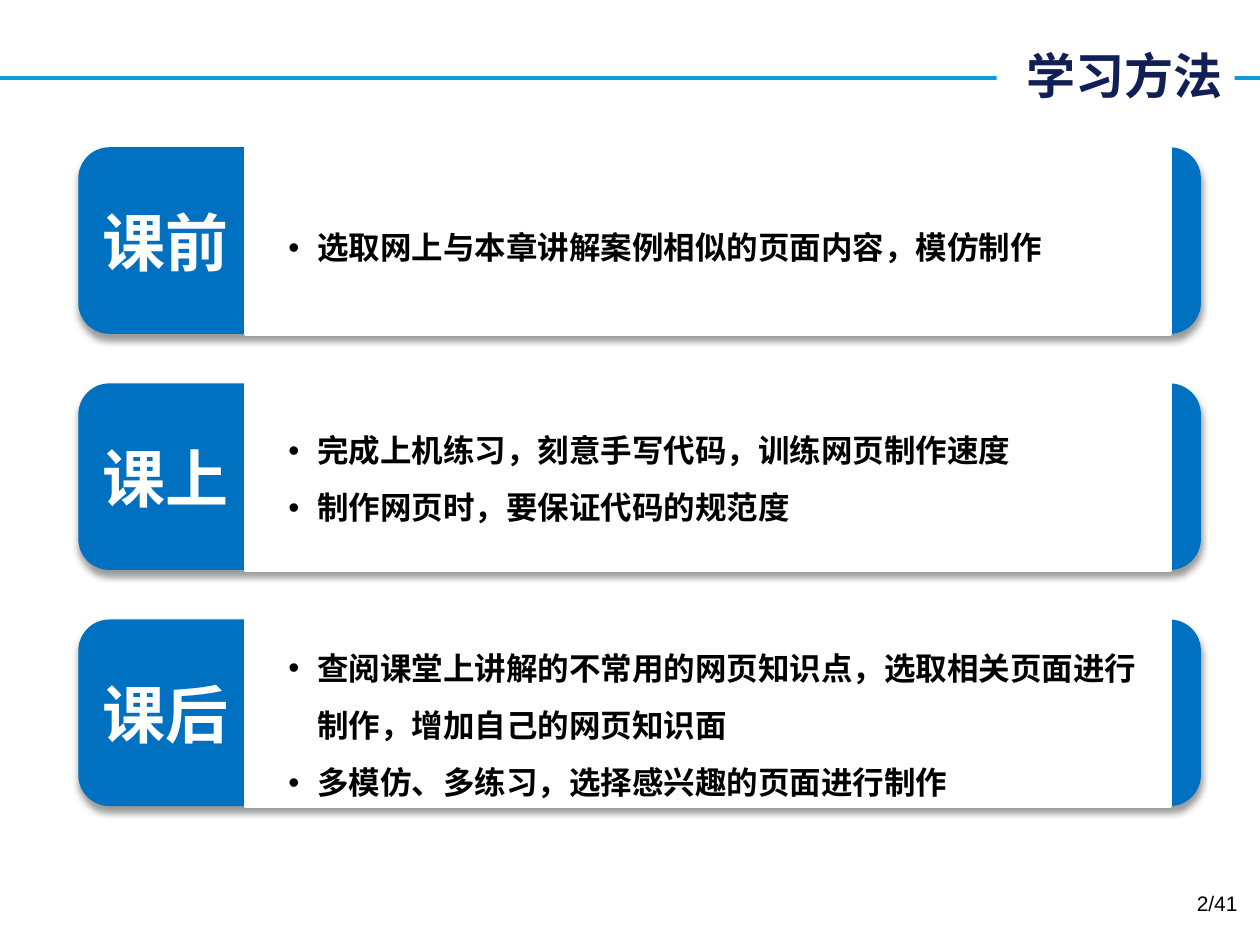
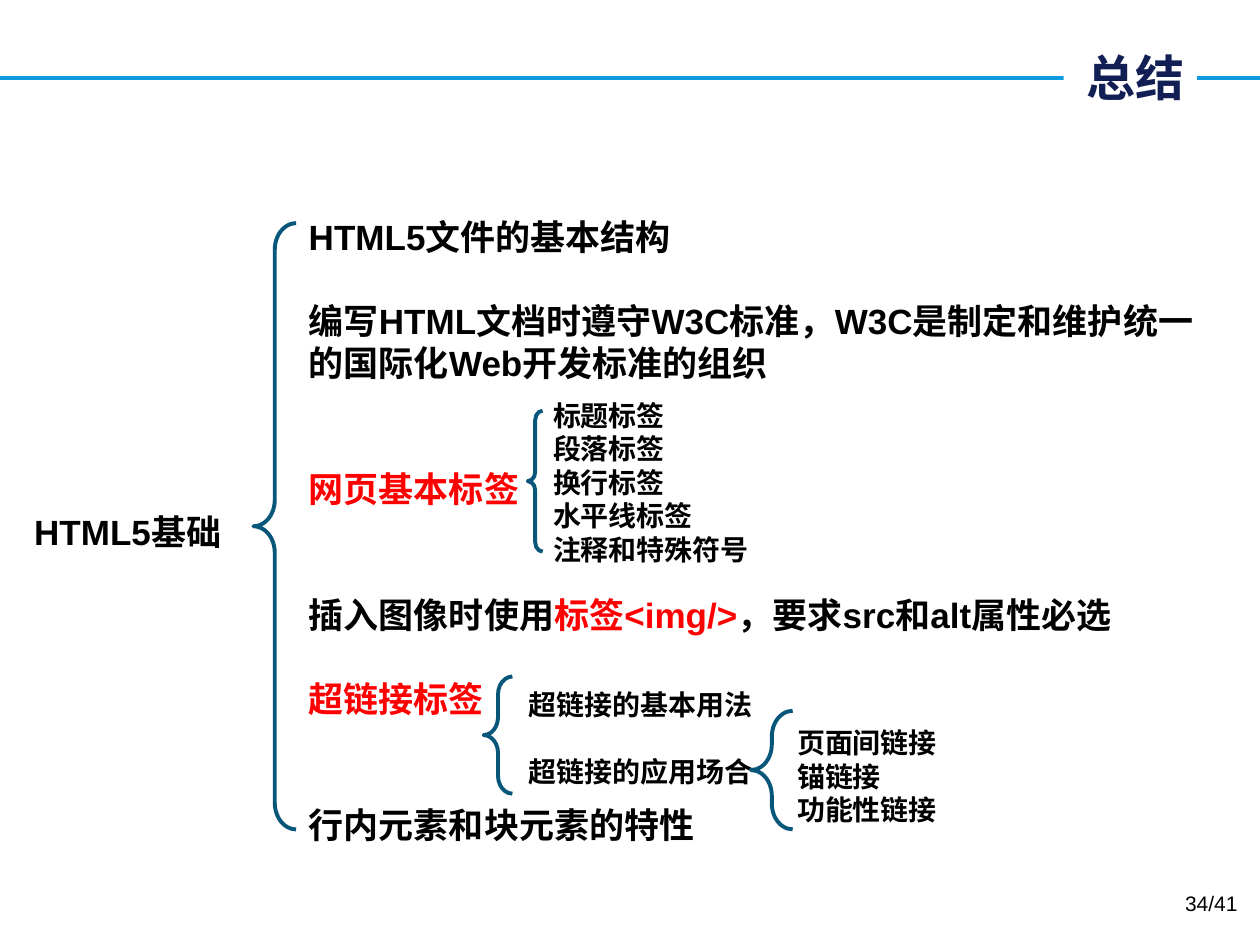
from lxml import etree
from pptx import Presentation
from pptx.dml.color import RGBColor
from pptx.enum.shapes import MSO_CONNECTOR, MSO_SHAPE as SHAPE
from pptx.enum.text import MSO_ANCHOR as ANCHOR, MSO_AUTO_SIZE as AUTO, PP_ALIGN as ALIGN
from pptx.oxml import parse_xml
from pptx.oxml.ns import nsdecls, qn
from pptx.util import Cm, Pt

COLORS = {
    "rule": "0E9CDE",
    "title": "121F55",
    "panel": "0070C0",
    "brace": "08577A",
    "accent": "FF0000",
    "text": "000000",
    "white": "FFFFFF",
}
LATIN, CJK = "Arial", "Noto Sans CJK SC"
PAGE_COUNT = 41

# Stage panels on the study method slide, in cm
PANEL_TOP, PANEL_PITCH, PANEL_HEIGHT = 2.97, 4.76, 3.76
STAGES = [  # label, list offset, list height, list items
    ("课前", 1.12, 1.42, ["选取网上与本章讲解案例相似的页面内容，模仿制作"]),
    ("课上", 0.45, 2.44, ["完成上机练习，刻意手写代码，训练网页制作速度",
                        "制作网页时，要保证代码的规范度"]),
    ("课后", 0.08, 3.58, ["查阅课堂上讲解的不常用的网页知识点，选取相关页面进行制作，增加自己的网页知识面",
                        "多模仿、多练习，选择感兴趣的页面进行制作"]),
]

# Summary outline: empty lines above, then the coloured pieces
OUTLINE = [
    (0, [("HTML5文件的基本结构", "text")]),
    (1, [("编写HTML文档时遵守W3C标准，W3C是制定和维护统一的国际化Web开发标准的组织", "text")]),
    (2, [("网页基本标签", "accent")]),
    (2, [("插入图像时使用", "text"), ("标签<img/>", "accent"),
         ("，要求src和alt属性必选", "text")]),
    (1, [("超链接标签", "accent")]),
    (2, [("行内元素和块元素的特性", "text")]),
]
BRANCHES = [  # box in cm, empty lines between items, items
    ((10.41, 13.74, 5.79, 2.31), 1, ["超链接的基本用法", "超链接的应用场合"]),
    ((10.9, 7.9, 5.64, 3.68), 0,
     ["标题标签", "段落标签", "换行标签", "水平线标签", "注释和特殊符号"]),
    ((15.82, 14.5, 5.64, 2.31), 0, ["页面间链接", "锚链接", "功能性链接"]),
]
BRACES = [
    (5.11, 4.5, 0.86, 12.22),
    (10.64, 8.28, 0.3, 2.84),
    (9.75, 13.64, 0.58, 2.36),
    (15.14, 14.33, 0.84, 2.39),
]


def rgb(color):
    return RGBColor.from_string(COLORS[color])


def place(shape, box):
    shape.left, shape.top, shape.width, shape.height = map(Cm, box)


def style(paragraph, size, color="text", font=LATIN, bold=True, align=ALIGN.LEFT):
    paragraph.alignment = align
    paragraph.font.size = Pt(size)
    paragraph.font.bold = bold
    paragraph.font.color.rgb = rgb(color)
    paragraph.font.name = font
    defaults = paragraph._p.pPr.find(qn("a:defRPr"))
    etree.SubElement(defaults, qn("a:ea")).set("typeface", CJK)


def space(paragraph, line, before=0):
    paragraph.line_spacing = Pt(line)
    paragraph.space_before = Pt(before)


def set_bullet(paragraph, char=None, indent=0.0):
    """Give the paragraph a hanging bullet, or none without a character."""
    props = paragraph._p.get_or_add_pPr()
    props.set("marL", str(Cm(indent)))
    props.set("indent", str(-Cm(indent)))
    bullet = etree.SubElement(props, qn("a:buChar" if char else "a:buNone"))
    if char:
        bullet.set("char", char)


def prepare_frame(shape, wrap=True, anchor=ANCHOR.TOP):
    frame = shape.text_frame
    frame.word_wrap = wrap
    frame.auto_size = AUTO.NONE
    frame.vertical_anchor = anchor
    return frame


def fill_paragraphs(frame, texts):
    for i, text in enumerate(texts):
        paragraph = frame.add_paragraph() if i else frame.paragraphs[0]
        paragraph.text = text
        yield i, paragraph


def add_label(slide, box, text, size, wrap=True, anchor=ANCHOR.TOP, **look):
    frame = prepare_frame(slide.shapes.add_textbox(*map(Cm, box)), wrap, anchor)
    frame.text = text
    style(frame.paragraphs[0], size, **look)


def add_block(slide, kind, box, fill=None, line=None, width=0):
    block = slide.shapes.add_shape(kind, *map(Cm, box))
    block.shadow.inherit = False
    if fill:
        block.fill.solid()
        block.fill.fore_color.rgb = rgb(fill)
    else:
        block.fill.background()
    if line:
        block.line.color.rgb = rgb(line)
        block.line.width = Pt(width)
    else:
        block.line.fill.background()
    return block


def add_drop_shadow(block):
    effects = block._element.spPr.find(qn("a:effectLst"))
    effects.append(parse_xml(
        f'<a:outerShdw {nsdecls("a")} blurRad="{Pt(4)}" dist="{Pt(3)}" dir="5400000" '
        'rotWithShape="0"><a:srgbClr val="000000"><a:alpha val="40000"/></a:srgbClr>'
        '</a:outerShdw>'))


def add_master_rule(prs, slide):
    """Draw the header rule and hand it to the master, behind all titles."""
    rule = slide.shapes.add_connector(
        MSO_CONNECTOR.STRAIGHT, 0, Cm(1.58), prs.slide_width, Cm(1.58))
    rule.line.color.rgb = rgb("rule")
    rule.line.width = Pt(2.25)
    etree.SubElement(rule._element.spPr, qn("a:effectLst"))
    prs.slide_master.shapes.element.append(rule.element)


def add_header_footer(slide, title, title_box, page):
    heading = slide.shapes.title
    place(heading, title_box)
    heading.fill.solid()
    heading.fill.fore_color.rgb = rgb("white")
    frame = prepare_frame(heading, anchor=ANCHOR.MIDDLE)
    frame.text = title
    style(frame.paragraphs[0], 28, "title", CJK, align=ALIGN.RIGHT)
    add_label(slide, (19.28, 17.83, 5.92, 1.02), f"{page}/{PAGE_COUNT}", 12,
              bold=False, align=ALIGN.RIGHT)


def add_stage(slide, top, label, items_holder, items_box, items):
    panel = add_block(slide, SHAPE.ROUNDED_RECTANGLE, (1.58, top, 22.63, PANEL_HEIGHT), "panel")
    add_drop_shadow(panel)
    add_block(slide, SHAPE.RECTANGLE, (4.95, top, 18.64, PANEL_HEIGHT), "white", "white", 2)
    add_label(slide, (1.8, top + 0.99, 3.07, 1.8), label, 36, wrap=False,
              anchor=ANCHOR.MIDDLE, color="white", font=CJK, align=ALIGN.CENTER)
    # The list goes in front of its panel
    slide.shapes.element.append(items_holder.element)
    place(items_holder, items_box)
    for _, paragraph in fill_paragraphs(prepare_frame(items_holder), items):
        space(paragraph, 32.6)
        set_bullet(paragraph, "•", 0.58)
        style(paragraph, 18, font=CJK)


def add_outline(holder):
    place(holder, (5.97, 4.22, 18.34, 13.08))
    frame = prepare_frame(holder)
    for i, paragraph in fill_paragraphs(frame, [""] * len(OUTLINE)):
        gaps, pieces = OUTLINE[i]
        space(paragraph, 24, 24 * gaps)
        set_bullet(paragraph)
        style(paragraph, 20, pieces[0][1])
        for text, color in pieces:
            run = paragraph.add_run()
            run.text = text
            if color != pieces[0][1]:
                run.font.color.rgb = rgb(color)


def add_branch(slide, box, gaps, items):
    frame = prepare_frame(slide.shapes.add_textbox(*map(Cm, box)))
    for i, paragraph in fill_paragraphs(frame, items):
        space(paragraph, 19.2, 19.2 * gaps if i else 0)
        style(paragraph, 16)


def add_brace(slide, box):
    brace = add_block(slide, SHAPE.LEFT_BRACE, box, line="brace", width=2.25)
    brace.adjustments[0] = 0.62


def build_methods(prs):
    slide = prs.slides.add_slide(prs.slide_layouts.get_by_name("Comparison"))
    add_master_rule(prs, slide)
    *list_holders, spare = list(slide.placeholders)[1:]
    spare.element.getparent().remove(spare.element)
    for i, (label, offset, height, items) in enumerate(STAGES):
        top = PANEL_TOP + i * PANEL_PITCH
        add_stage(slide, top, label, list_holders[i],
                  (5.56, top + offset, 17.65, height), items)
    add_header_footer(slide, "学习方法", (20.09, 0.79, 4.8, 1.45), 2)


def build_summary(prs):
    slide = prs.slides.add_slide(prs.slide_layouts.get_by_name("Title and Content"))
    add_header_footer(slide, "总结", (21.44, 0.74, 2.69, 1.63), 34)
    add_outline(slide.placeholders[1])
    add_label(slide, (0.05, 10.16, 5.05, 1.12), "HTML5基础", 20, align=ALIGN.CENTER)
    for branch in BRANCHES:
        add_branch(slide, *branch)
    for box in BRACES:
        add_brace(slide, box)


def main():
    prs = Presentation()
    prs.slide_width, prs.slide_height = Cm(25.4), Cm(19.05)
    build_methods(prs)
    build_summary(prs)
    prs.save("out.pptx")


if __name__ == "__main__":
    main()
